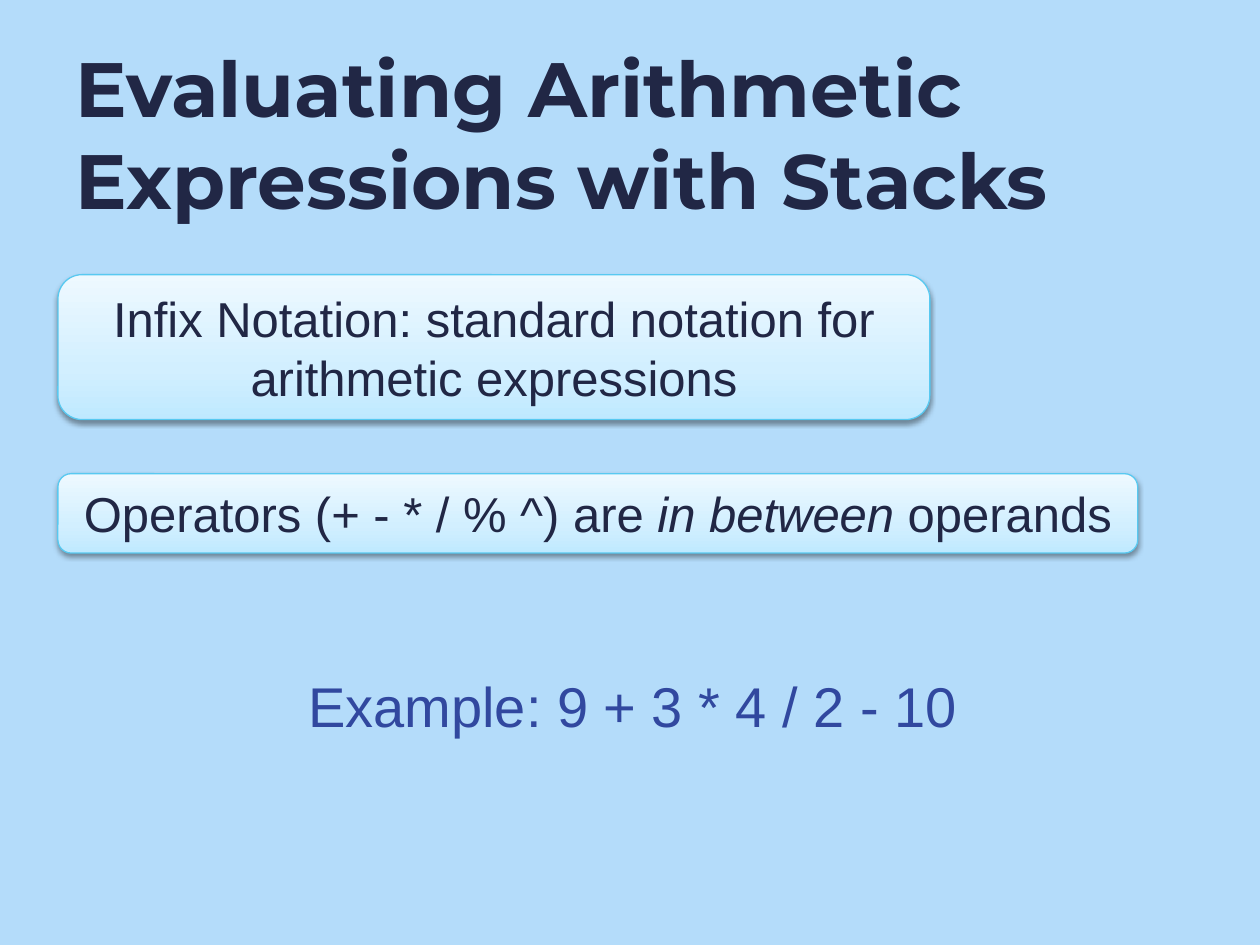
from dataclasses import dataclass

from lxml.etree import SubElement
from pptx import Presentation
from pptx.dml.color import RGBColor
from pptx.enum.shapes import MSO_SHAPE
from pptx.enum.text import MSO_ANCHOR, PP_ALIGN
from pptx.oxml import parse_xml
from pptx.oxml.ns import nsdecls, qn
from pptx.util import Inches, Pt

SKY = RGBColor(0xB4, 0xDC, 0xFA)
NAVY = RGBColor(0x21, 0x27, 0x45)
BLUE = RGBColor(0x31, 0x48, 0x9F)
EDGE = RGBColor(0x58, 0xC9, 0xF1)
GRADIENT = [
    (0, RGBColor(0xBF, 0xE9, 0xFF)),
    (35, RGBColor(0xD2, 0xEF, 0xFF)),
    (100, RGBColor(0xEE, 0xF9, 0xFF)),
]


@dataclass
class Box:
    left: float
    top: float
    width: float
    height: float
    runs: list[tuple[str, bool]]  # text, italic
    size: int = 28
    color: RGBColor = NAVY
    card: bool = True


BOXES = [
    Box(0.46, 2.18, 6.92, 1.15,
        [("Infix Notation: standard notation for arithmetic expressions", False)]),
    Box(0.46, 3.76, 8.57, 0.63,
        [("Operators (+ - * / % ^) are ", False), ("in between", True),
         (" operands", False)]),
    Box(1.75, 5.24, 6.55, 0.71, [("Example: 9 + 3 * 4 / 2 - 10", False)],
        size=32, color=BLUE, card=False),
]


def style_card(sp) -> None:
    """Give a shape the gradient, thin edge and soft drop shadow."""
    sp.fill.gradient()
    sp.fill.gradient_angle = 90
    stops = sp._element.spPr.find(qn("a:gradFill")).find(qn("a:gsLst"))
    for stop in list(stops):
        stops.remove(stop)
    for pos, color in GRADIENT:
        gs = SubElement(stops, qn("a:gs"), pos=str(pos * 1000))
        SubElement(gs, qn("a:srgbClr"), val=str(color))
    sp.line.color.rgb = EDGE
    sp.line.width = Pt(0.75)
    sp._element.spPr.find(qn("a:effectLst")).append(parse_xml(
        f'<a:outerShdw {nsdecls("a")} blurRad="{Pt(3.1)}" dist="{Pt(1.6)}" '
        'dir="5400000" rotWithShape="0"><a:srgbClr val="000000">'
        '<a:alpha val="38000"/></a:srgbClr></a:outerShdw>'))


def add_box(s, box: Box) -> None:
    sp = s.shapes.add_shape(
        MSO_SHAPE.ROUNDED_RECTANGLE, Inches(box.left), Inches(box.top),
        Inches(box.width), Inches(box.height))
    sp.shadow.inherit = False
    if box.card:
        style_card(sp)
    else:
        sp.fill.background()
        sp.line.fill.background()
    tf = sp.text_frame
    tf.word_wrap = True
    tf.vertical_anchor = MSO_ANCHOR.MIDDLE
    p = tf.paragraphs[0]
    p.alignment = PP_ALIGN.CENTER
    p.font.name = "Arial"
    p.font.size = Pt(box.size)
    p.font.color.rgb = box.color
    for text, italic in box.runs:
        r = p.add_run()
        r.text = text
        if italic:
            r.font.italic = True


prs = Presentation()
prs.slide_width, prs.slide_height = Inches(10), Inches(7.5)
s = prs.slides.add_slide(prs.slide_layouts[6])
s.background.fill.solid()
s.background.fill.fore_color.rgb = SKY

# Title
title = s.shapes.add_textbox(Inches(0.5), Inches(0.27), Inches(9.17), Inches(1.57))
tf = title.text_frame
tf.word_wrap = True
tf.vertical_anchor = MSO_ANCHOR.MIDDLE
p = tf.paragraphs[0]
p.text = "Evaluating Arithmetic Expressions with Stacks"
p.font.name = "Montserrat"
p.font.size = Pt(44)
p.font.bold = True
p.font.color.rgb = NAVY

# Definition cards and example
for box in BOXES:
    add_box(s, box)

prs.save("out.pptx")
